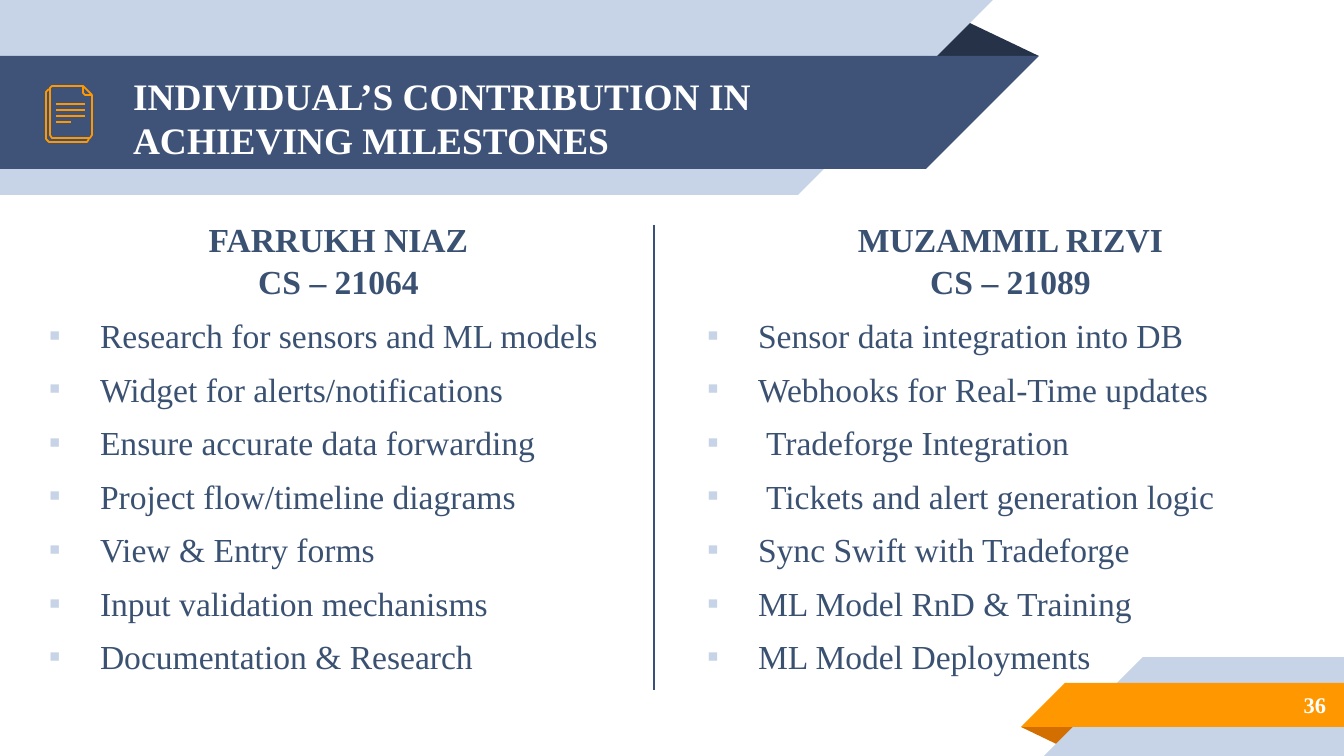
import pptx
import pptx.dml.color
import pptx.enum.shapes
import pptx.enum.text
import pptx.oxml
import pptx.oxml.ns
import pptx.util

RGBColor = pptx.dml.color.RGBColor
SHAPES = pptx.enum.shapes.MSO_SHAPE
ALIGN = pptx.enum.text.PP_ALIGN
ANCHOR = pptx.enum.text.MSO_ANCHOR

WHITE = RGBColor(0xFF, 0xFF, 0xFF)
NAVY = RGBColor(0x3F, 0x53, 0x78)
DARK_NAVY = RGBColor(0x26, 0x32, 0x48)
PALE_BLUE = RGBColor(0xC7, 0xD3, 0xE6)
ORANGE = RGBColor(0xFF, 0x98, 0x00)
DARK_ORANGE = RGBColor(0xD2, 0x6F, 0x00)
INK = RGBColor(0x3A, 0x51, 0x72)
DIVIDER = RGBColor(0x3B, 0x50, 0x76)

FONT = "Times New Roman"
PX = 914400 / 134.4
WIDTH, HEIGHT = 1344, 756
INSET = 13
BULLET_INDENT = 51
EXTRA_INDENT = 8


def px(length):
    return pptx.util.Emu(round(length * PX))


def add_run(paragraph, text, color, size, bold):
    paragraph.text = text
    values = {"name": FONT, "size": pptx.util.Pt(size), "bold": bold}
    for run in paragraph.runs:
        for key, value in values.items():
            setattr(run.font, key, value)
        run.font.color.rgb = color


def prepare_text(shape, box, anchor):
    """Put a text shape in its box, in front of everything drawn so far."""
    for key, value in zip(("left", "top", "width", "height"), box):
        setattr(shape, key, px(value))
    frame = shape.text_frame
    values = {"word_wrap": True, "vertical_anchor": anchor,
              "auto_size": pptx.enum.text.MSO_AUTO_SIZE.NONE}
    values.update({"margin_" + side: px(INSET)
                   for side in ("left", "top", "right", "bottom")})
    for key, value in values.items():
        setattr(frame, key, value)
    shape.element.getparent().append(shape.element)
    return frame


def add_block(slide, kind, box, color, flips=()):
    block = slide.shapes.add_shape(kind, *map(px, box))
    block.shadow.inherit = False
    block.fill.solid()
    block.fill.fore_color.rgb = color
    block.line.fill.background()
    for flip in flips:
        block.element.spPr.xfrm.set(flip, "1")
    return block


def add_line(slide, start, end, color, weight):
    line = slide.shapes.add_connector(
        pptx.enum.shapes.MSO_CONNECTOR.STRAIGHT, *map(px, start + end))
    line.line.color.rgb = color
    line.line.width = pptx.util.Pt(weight)
    line.element.spPr.append(pptx.oxml.parse_xml(
        "<a:effectLst %s/>" % pptx.oxml.ns.nsdecls("a")))


def header_ribbon(slide, left, top):
    fold = add_block(slide, SHAPES.ISOSCELES_TRIANGLE,
                     (left + 925, top + 19, 114, 37), DARK_NAVY)
    fold.adjustments[0] = 0.32
    for y, width, height, color in ((0, 798, 195, PALE_BLUE),
                                    (56, 926, 113, NAVY)):
        add_block(slide, SHAPES.RECTANGLE, (left, top + y, width, height), color)
        add_block(slide, SHAPES.RIGHT_TRIANGLE,
                  (left + width, top + y, height, height), color, ["flipV"])


def footer_ribbon(slide, left, top):
    fold = add_block(slide, SHAPES.ISOSCELES_TRIANGLE,
                     (left, top + 70, 58, 19), DARK_ORANGE, ["flipH", "flipV"])
    fold.adjustments[0] = 0.32
    for x, y, height, color in ((23, 0, 99, PALE_BLUE), (0, 26, 44, ORANGE)):
        edge = left + x + height
        add_block(slide, SHAPES.RECTANGLE,
                  (edge, top + y, WIDTH - edge, height), color)
        add_block(slide, SHAPES.RIGHT_TRIANGLE,
                  (left + x, top + y, height, height), color, ["flipH"])
    # Page number
    box = (left + 99, top + 24, 219, 47)
    frame = prepare_text(slide.shapes.add_textbox(0, 0, 0, 0), box, ANCHOR.MIDDLE)
    number = frame.paragraphs[0]
    number.alignment = ALIGN.RIGHT
    add_run(number, "36", WHITE, 12, True)


def document_icon(slide, left, top):
    back_page = [(43, 53), (41, 56), (3, 56), (0, 53), (0, 6), (3, 3)]
    front_page = [(46, 9), (46, 49), (44, 52), (6, 52), (4, 49), (4, 2),
                  (6, 0), (37, 0)]
    corner = [(37, 0), (46, 9), (39, 9), (37, 7)]
    for points, closed in ((back_page, False), (front_page, False),
                           (corner, True)):
        builder = slide.shapes.build_freeform(*points[0], scale=PX)
        builder.add_line_segments(points[1:], close=closed)
        outline = builder.convert_to_shape(px(left), px(top))
        outline.shadow.inherit = False
        outline.fill.background()
        outline.line.color.rgb = ORANGE
        outline.line.width = pptx.util.Pt(0.96)
    # Lines of writing
    for row, length in enumerate((29, 29, 29, 15)):
        y = top + 18 + 6 * row
        add_line(slide, (left + 10, y), (left + 10 + length, y), ORANGE, 0.96)


def title_text(slide, box):
    frame = prepare_text(slide.shapes.title, box, ANCHOR.MIDDLE)
    title = frame.paragraphs[0]
    title.alignment = ALIGN.LEFT
    add_run(title, "INDIVIDUAL’S CONTRIBUTION IN ACHIEVING MILESTONES",
            WHITE, 20, True)


def set_bullet(paragraph, margin, hanging, char=None):
    properties = paragraph._p.get_or_add_pPr()
    properties.set("marL", str(px(margin)))
    properties.set("indent", str(px(-hanging)))
    namespace = pptx.oxml.ns.nsdecls("a")
    marks = [f"<a:buNone {namespace}/>"]
    if char:
        marks = [f'<a:buClr {namespace}><a:srgbClr val="{PALE_BLUE}"/></a:buClr>',
                 f'<a:buFont {namespace} typeface="{FONT}"/>',
                 f'<a:buChar {namespace} char="{char}"/>']
    for mark in marks:
        properties.append(pptx.oxml.parse_xml(mark))


def contribution_column(slide, placeholder, box, heading, heading_indent, tasks,
                        indented=()):
    frame = prepare_text(placeholder, box, ANCHOR.TOP)
    member = frame.paragraphs[0]
    set_bullet(member, heading_indent, 0)
    member.alignment = ALIGN.CENTER
    member.space_before = pptx.util.Pt(0)
    member.line_spacing = 1.05
    add_run(member, heading, INK, 18, True)
    for task in tasks:
        item = frame.add_paragraph()
        indent = BULLET_INDENT + (EXTRA_INDENT if task in indented else 0)
        set_bullet(item, indent, indent, "▪")
        item.alignment = ALIGN.LEFT
        item.space_before = pptx.util.Pt(6)
        item.line_spacing = 1.05
        add_run(item, task, INK, 18, False)


def main():
    deck = pptx.Presentation()
    deck.slide_width, deck.slide_height = px(WIDTH), px(HEIGHT)
    slide = deck.slides.add_slide(deck.slide_layouts.get_by_name("Two Content"))
    header_ribbon(slide, 0, 0)
    title_text(slide, (120, 61, 773, 113))
    document_icon(slide, 46, 86)
    footer_ribbon(slide, 1021, 657)
    add_line(slide, (654, 225), (654, 690), DIVIDER, 0.75)

    # Columns, one for each member
    left_body, right_body = slide.placeholders[1], slide.placeholders[2]
    contribution_column(
        slide, right_body, (694, 204, 618, 508),
        "MUZAMMIL RIZVI\vCS – 21089", 15,
        ["Sensor data integration into DB", "Webhooks for Real-Time updates",
         "Tradeforge Integration", "Tickets and alert generation logic",
         "Sync Swift with Tradeforge", "ML Model RnD & Training",
         "ML Model Deployments"],
        ["Tradeforge Integration", "Tickets and alert generation logic"])
    contribution_column(
        slide, left_body, (36, 204, 605, 508),
        "FARRUKH NIAZ\vCS – 21064", 0,
        ["Research for sensors and ML models", "Widget for alerts/notifications",
         "Ensure accurate data forwarding", "Project flow/timeline diagrams",
         "View & Entry forms", "Input validation mechanisms",
         "Documentation & Research"])
    deck.save("out.pptx")


if __name__ == "__main__":
    main()
